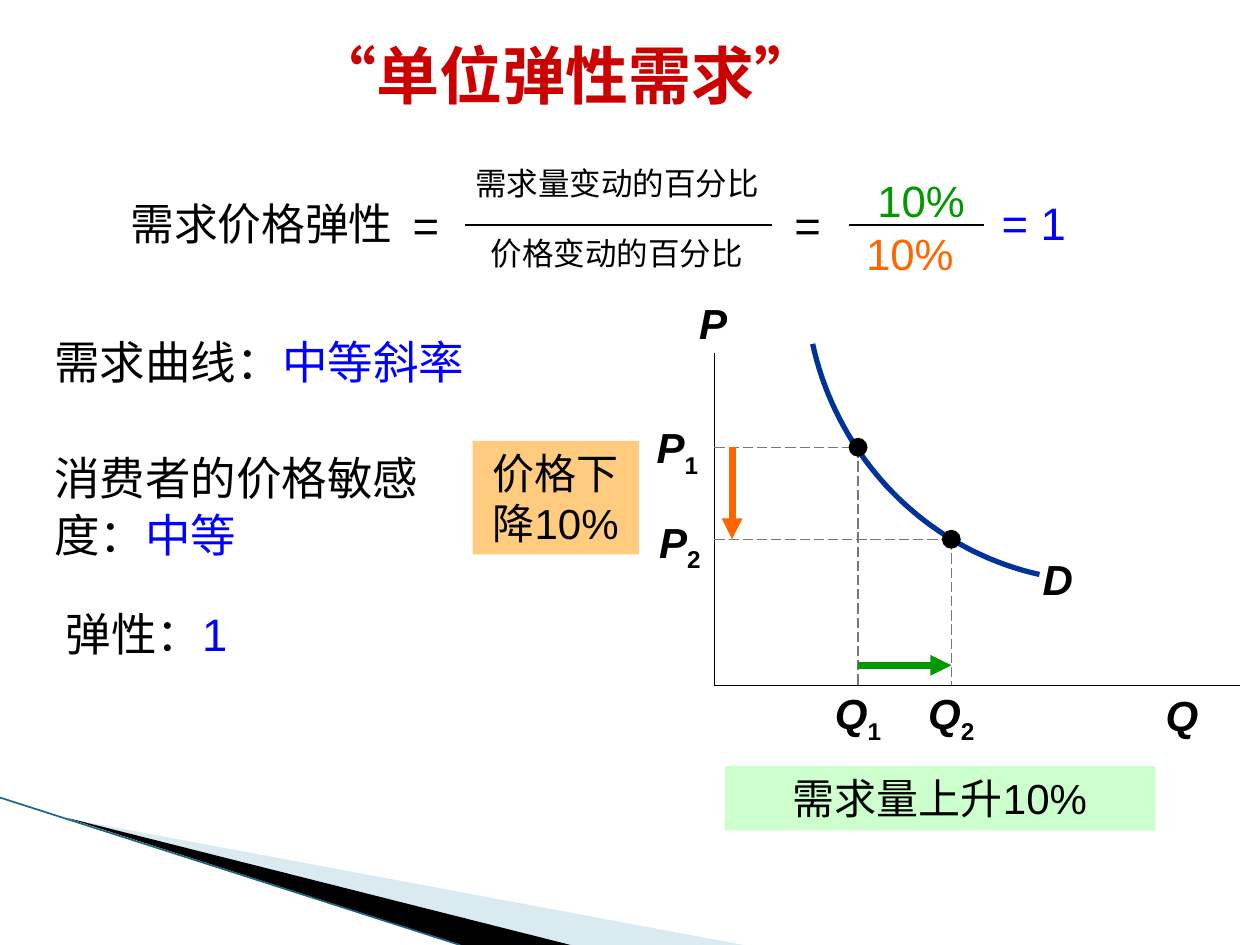
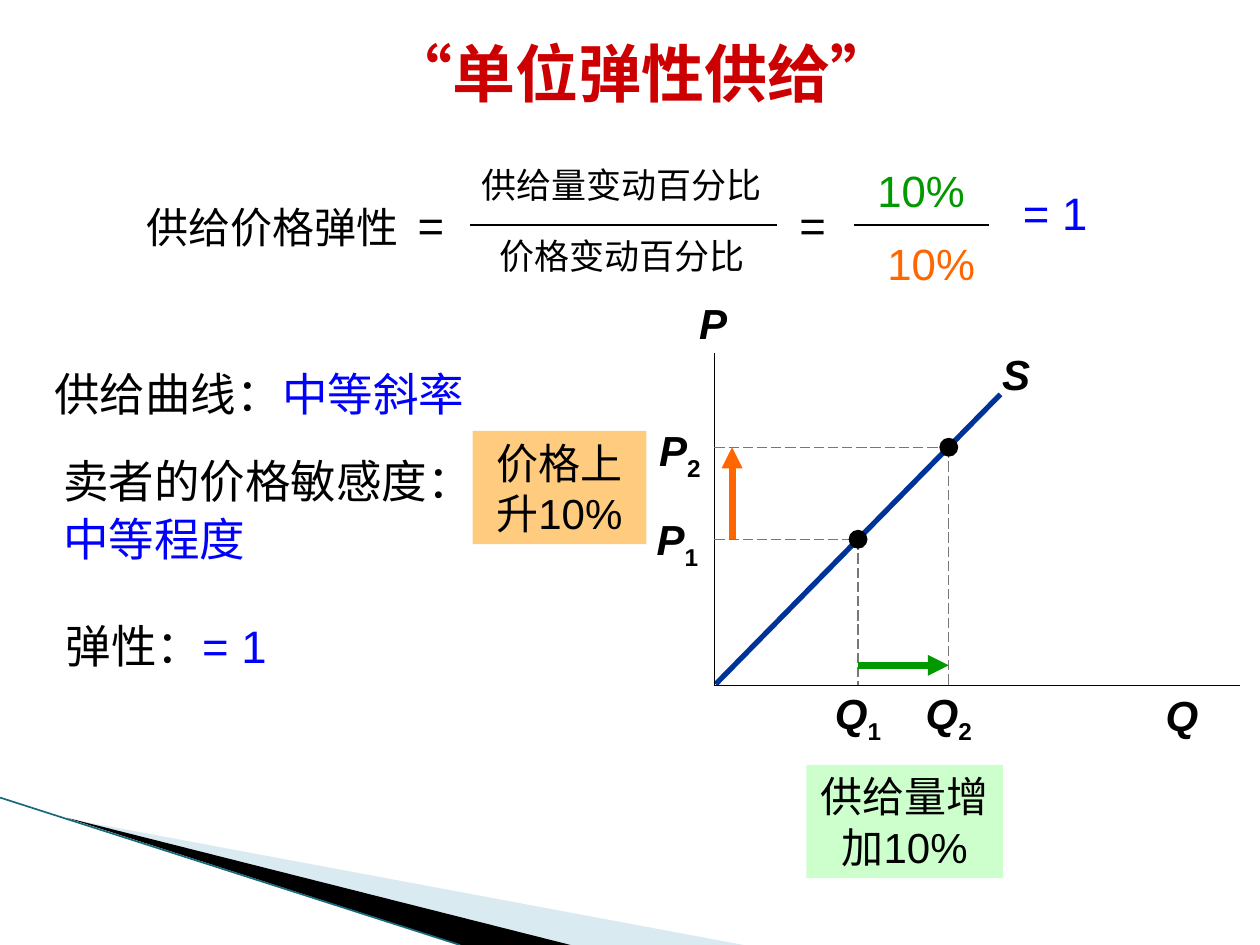
from dataclasses import dataclass

from lxml import etree
from pptx import Presentation
from pptx.dml.color import RGBColor
from pptx.enum.dml import MSO_LINE
from pptx.enum.shapes import MSO_CONNECTOR, MSO_SHAPE
from pptx.enum.text import MSO_ANCHOR, MSO_AUTO_SIZE, PP_ALIGN
from pptx.oxml.ns import qn
from pptx.util import Inches, Pt


@dataclass(frozen=True)
class Theme:
    font: str = "Arial"
    title_font: str = "DejaVu Sans Mono"
    black: str = "000000"
    title: str = "CC0000"
    answer: str = "0000FF"
    quantity: str = "009900"
    price: str = "FF6600"
    curve: str = "003399"
    guide: str = "777777"
    price_note: str = "FF9900"
    quantity_note: str = "CCFFCC"
    band: str = "A0CBDC"
    band_edge: str = "17697D"
    title_size: int = 36
    body_size: int = 26
    value_size: int = 25
    label_size: int = 24


T = Theme()
rgb = RGBColor.from_string


def add_text(sp, text, *, size=T.label_size, color=T.black, font=T.font, bold=False,
             italic=False, align=PP_ALIGN.CENTER, anchor=MSO_ANCHOR.TOP, spacing=1.0,
             before=0, sub="", answer=""):
    """Add a paragraph of text, then an upright subscript and a blue answer."""
    tf = sp.text_frame
    tf.word_wrap = True
    tf.auto_size = MSO_AUTO_SIZE.NONE
    tf.vertical_anchor = anchor
    p = tf.add_paragraph() if tf.text else tf.paragraphs[0]
    p.alignment, p.line_spacing, p.space_before = align, spacing, Pt(before)
    for part, part_color in ((text, color), (sub, color), (answer, T.answer)):
        if not part:
            continue
        r = p.add_run()
        r.text = part
        r.font.name, r.font.size, r.font.bold = font, Pt(size), bold
        r.font.italic = italic and part != sub
        r.font.color.rgb = rgb(part_color)
        if part == sub:
            r.font._element.set("baseline", "-25000")
    return p


def add_line(s, start, end, *, color=T.black, width=1.0, dash=None, arrow=False):
    line = s.shapes.add_connector(MSO_CONNECTOR.STRAIGHT, *map(Inches, start + end))
    line.line.color.rgb = rgb(color)
    line.line.width = Pt(width)
    if dash:
        line.line.dash_style = dash
    if arrow:
        etree.SubElement(line.line._get_or_add_ln(), qn("a:tailEnd"), type="triangle")
    etree.SubElement(line._element.spPr, qn("a:effectLst"))


# Band at the foot of every slide: outline, fill, opacity in percent
BANDS = [
    ([(0.55, 6.5), (5.9, 7.5), (4.52, 7.5)], T.band, 40),
    ([(0.53, 6.49), (4.53, 7.5), (3.66, 7.5)], T.black, 100),
]

# Demand curve as a cubic Bezier, flattened to short steps
CONTROLS = [(6.45, 2.73), (6.65, 3.64), (7.35, 4.36), (8.25, 4.56)]
STEPS = 40
DEMAND = []
for i in range(STEPS + 1):
    t = i / STEPS
    weights = [(1 - t) ** 3, 3 * t * (1 - t) ** 2, 3 * t ** 2 * (1 - t), t ** 3]
    DEMAND.append(tuple(sum(w * c[axis] for w, c in zip(weights, CONTROLS))
                        for axis in (0, 1)))

AXIS_X, AXIS_Y = 5.67, 5.44
DOT = 0.15

# Statements: text, answer, space before, left indent, right indent
SLIDES = [
    dict(
        title="“单位弹性需求”", title_box=(2.39, 0.29, 5.58, 0.68),
        title_align=PP_ALIGN.LEFT,
        lead="需求价格弹性", lead_box=(0.83, 1.54, 2.49, 0.5), lead_size=25,
        fraction=("需求量变动的百分比", "价格变动的百分比"), fraction_size=18, shift=0,
        top_value=(6.67, 1.33), bottom_value=(6.58, 1.75), result=(7.83, 1.5),
        statements=[("需求曲线：", "中等斜率", 0, 0, 0),
                    ("消费者的价格敏感度：", "中等", 33.5, 0, 0.5),
                    ("弹性：", "1", 23.5, 0.09, 0)],
        statements_y=2.58,
        curve=DEMAND, curve_name="D", name_box=(8.09, 4.34, 0.61, 0.5),
        points=[(6.81, 3.55), (7.55, 4.28)],
        price_note="价格下降10%", price_box=(3.75, 3.5, 1.32, 0.9),
        quantity_note="需求量上升10%", quantity_box=(5.75, 6.08, 3.42, 0.51),
    ),
    dict(
        title="“单位弹性供给”", title_box=(0.45, 0.27, 9.29, 0.68),
        title_align=PP_ALIGN.CENTER,
        lead="供给价格弹性", lead_box=(0.92, 1.58, 2.49, 0.48), lead_size=24,
        fraction=("供给量变动百分比", "价格变动百分比"), fraction_size=20, shift=0.04,
        top_value=(6.67, 1.25), bottom_value=(6.75, 1.83), result=(8, 1.42),
        statements=[("供给曲线：", "中等斜率", 0, 0, 0),
                    ("卖者的价格敏感度：", "中等程度", 17.5, 0.07, 0),
                    ("弹性：", "= 1", 28.5, 0.09, 0)],
        statements_y=2.83,
        curve=[(5.68, 5.43), (7.94, 3.13)], curve_name="S",
        name_box=(7.72, 2.72, 0.69, 0.5),
        points=[(6.81, 4.28), (7.53, 3.55)],
        price_note="价格上升10%", price_box=(3.75, 3.42, 1.38, 0.9),
        quantity_note="供给量增加10%", quantity_box=(6.4, 6.07, 1.56, 0.9),
    ),
]

prs = Presentation()
prs.slide_width, prs.slide_height = Inches(10), Inches(7.5)

for d in SLIDES:
    s = prs.slides.add_slide(prs.slide_layouts[1])

    for outline, color, opacity in BANDS:
        corners = [(Inches(x), Inches(y)) for x, y in outline]
        builder = s.shapes.build_freeform(*corners[0])
        builder.add_line_segments(corners[1:], close=True)
        sp = builder.convert_to_shape()
        sp.shadow.inherit = False
        sp.line.fill.background()
        sp.fill.solid()
        sp.fill.fore_color.rgb = rgb(color)
        if opacity < 100:
            etree.SubElement(sp._element.spPr.find(".//" + qn("a:srgbClr")),
                             qn("a:alpha"), val=str(opacity * 1000))
    add_line(s, (0, 6.33), (3.65, 7.5), color=T.band_edge, width=0.95)

    # Title and statements
    title, body = s.shapes.title, s.placeholders[1]
    body_box = (0.33, d["statements_y"], 3.77, 2.6)
    for sp, box in ((title, d["title_box"]), (body, body_box)):
        sp.left, sp.top, sp.width, sp.height = map(Inches, box)
    add_text(title, d["title"], size=T.title_size, color=T.title, font=T.title_font,
             bold=True, align=d["title_align"], anchor=MSO_ANCHOR.MIDDLE, spacing=0.9)
    for text, answer, before, left, right in d["statements"]:
        p = add_text(body, text, answer=answer, size=T.body_size, align=PP_ALIGN.LEFT,
                     spacing=1.05, before=before)
        pPr = p._p.get_or_add_pPr()
        pPr.set("marL", str(Inches(left)))
        pPr.set("marR", str(Inches(right)))
        pPr.set("indent", "0")
        etree.SubElement(pPr, qn("a:buNone"))

    # Elasticity formula
    dx = d["shift"]
    formula = [
        (d["lead"], d["lead_box"], dict(size=d["lead_size"], spacing=0.95)),
        ("10%", d["top_value"] + (1.28, 0.52), dict(size=T.value_size, color=T.quantity)),
        ("10%", d["bottom_value"] + (1.28, 0.52), dict(size=T.value_size, color=T.price)),
        ("= 1", d["result"] + (0.75, 0.53), dict(size=T.body_size, color=T.answer)),
    ]
    for x in (3.13, 6.16):
        formula.append(("=", (x + dx, 1.515, 0.5, 0.53), dict(size=T.body_size)))
    for text, y in zip(d["fraction"], (1.25, 1.81)):
        formula.append((text, (3.59 + dx, y, 2.61, 0.43), dict(size=d["fraction_size"])))
    for text, box, fmt in formula:
        add_text(s.shapes.add_textbox(*map(Inches, box)), text, **fmt)
    for x1, x2 in ((3.69, 6.13), (6.74, 7.81)):
        add_line(s, (x1 + dx, 1.785), (x2 + dx, 1.785))

    # Curve and axes
    if len(d["curve"]) == 2:
        add_line(s, *d["curve"], color=T.curve, width=3)
    else:
        knots = [(Inches(x), Inches(y)) for x, y in d["curve"]]
        builder = s.shapes.build_freeform(*knots[0])
        builder.add_line_segments(knots[1:], close=False)
        sp = builder.convert_to_shape()
        sp.shadow.inherit = False
        sp.fill.background()
        sp.line.color.rgb = rgb(T.curve)
        sp.line.width = Pt(3)
    add_line(s, (AXIS_X, 2.8), (AXIS_X, AXIS_Y))
    add_line(s, (AXIS_X, AXIS_Y), (9.84, AXIS_Y))
    labels = [("P", "", (5.28, 2.31, 0.76, 0.5), PP_ALIGN.CENTER),
              ("Q", "", (9, 5.42, 0.76, 0.5), PP_ALIGN.CENTER),
              (d["curve_name"], "", d["name_box"], PP_ALIGN.CENTER)]

    # Two points with their guides
    for i, (x, y) in enumerate(d["points"]):
        nudge = 0.02 * i
        labels += [
            ("Q", str(i + 1), (x - 0.32, 5.41, 0.64, 0.5), PP_ALIGN.CENTER),
            ("P", str(i + 1), (4.97 + nudge, y - 0.25 + nudge, 0.67, 0.5), PP_ALIGN.RIGHT),
        ]
        for start, end in (((x, y), (x, AXIS_Y)), ((AXIS_X, y), (x, y))):
            add_line(s, start, end, color=T.guide, width=0.75, dash=MSO_LINE.LONG_DASH)
        dot = s.shapes.add_shape(MSO_SHAPE.OVAL, Inches(x - DOT / 2), Inches(y - DOT / 2),
                                 Inches(DOT), Inches(DOT))
        dot.shadow.inherit = False
        dot.fill.solid()
        dot.fill.fore_color.rgb = rgb(T.black)
        dot.line.fill.background()
    for text, sub, box, align in labels:
        add_text(s.shapes.add_textbox(*map(Inches, box)), text, sub=sub, align=align,
                 bold=True, italic=True)

    # Changes in price and quantity
    (q1, p1), (q2, p2) = d["points"]
    add_line(s, (5.81, p1), (5.81, p2), color=T.price, width=4, arrow=True)
    add_line(s, (q1, 5.28), (q2, 5.28), color=T.quantity, width=4, arrow=True)
    for text, box, color, opacity in (
            (d["price_note"], d["price_box"], T.price_note, 50),
            (d["quantity_note"], d["quantity_box"], T.quantity_note, 100)):
        note = s.shapes.add_shape(MSO_SHAPE.RECTANGLE, *map(Inches, box))
        note.shadow.inherit = False
        note.line.fill.background()
        note.fill.solid()
        note.fill.fore_color.rgb = rgb(color)
        if opacity < 100:
            etree.SubElement(note._element.spPr.find(".//" + qn("a:srgbClr")),
                             qn("a:alpha"), val=str(opacity * 1000))
        add_text(note, text)

prs.save("out.pptx")
